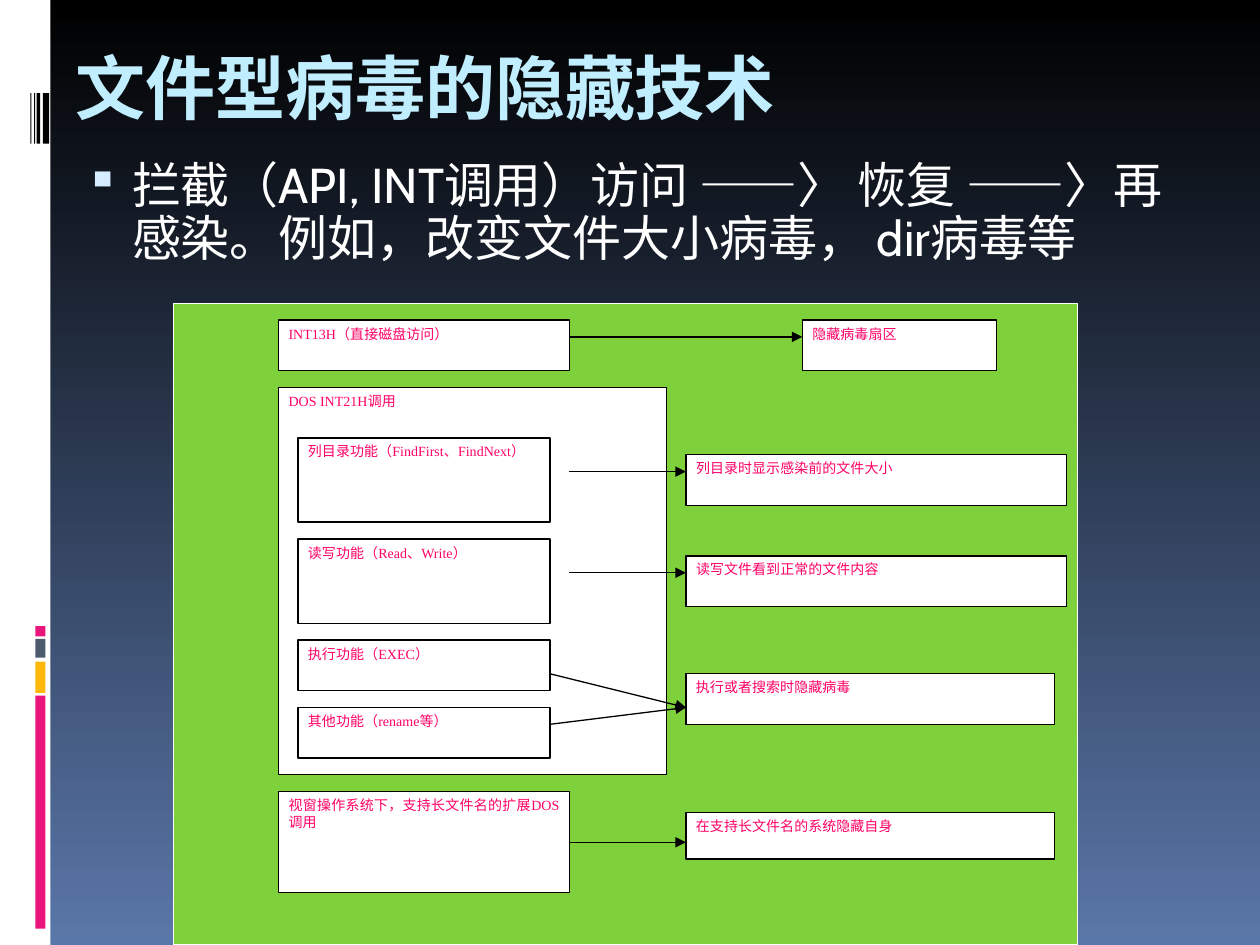
from lxml.etree import SubElement
from pptx import Presentation
from pptx.dml.color import RGBColor
from pptx.enum.shapes import MSO_CONNECTOR, MSO_SHAPE
from pptx.enum.text import MSO_ANCHOR, PP_ALIGN
from pptx.oxml.ns import qn
from pptx.util import Inches, Pt

LEFT, TOP = 2.21, 2.54
COL, ROW = 0.154, 0.1337

BARS = [
    (0, 0, 0.4, 7.5, "FFFFFF"),
    (0.28, 5.52, 0.08, 1.85, "EA157A"),
    (0.28, 5.25, 0.08, 0.25, "FEB80A"),
    (0.28, 5.07, 0.08, 0.15, "4E5B6F"),
    (0.28, 4.97, 0.08, 0.08, "EA157A"),
    (0.34, 0.74, 0.05, 0.4, "000000"),
    (0.29, 0.74, 0.03, 0.4, "000000"),
    (0.27, 0.74, 0.01, 0.4, "000000"),
    (0.24, 0.74, 0.01, 0.4, "000000"),
]
BOXES = [
    (0, 4, 20, 23, "DOS INT21H调用"),
    (0, 0, 15, 3, "INT13H（直接磁盘访问）"),
    (1, 7, 13, 5, "列目录功能（FindFirst、FindNext）"),
    (1, 13, 13, 5, "读写功能（Read、Write）"),
    (1, 19, 13, 3, "执行功能（EXEC）"),
    (1, 23, 13, 3, "其他功能（rename等）"),
    (0, 28, 15, 6, "视窗操作系统下，支持长文件名的扩展DOS调用"),
    (27, 0, 10, 3, "隐藏病毒扇区"),
    (21, 8, 19.6, 3, "列目录时显示感染前的文件大小"),
    (21, 14, 19.6, 3, "读写文件看到正常的文件内容"),
    (21, 21, 19, 3, "执行或者搜索时隐藏病毒"),
    (21, 29.25, 19, 2.75, "在支持长文件名的系统隐藏自身"),
]
ARROWS = [
    (15, 1, 27, 1),
    (15, 9, 21, 9),
    (15, 15, 21, 15),
    (14, 21, 21, 23),
    (14, 24, 21, 23),
    (15, 31, 21, 31),
]


def hue(text):
    """Turn a hex string into a colour."""
    return RGBColor.from_string(text)


def spot(col, row):
    """Give the slide position of a grid point."""
    return Inches(LEFT + col * COL), Inches(TOP + row * ROW)


def style(para, size, face, color, bold=False):
    """Set the font of a paragraph."""
    font = para.font
    font.size, font.name, font.bold = Pt(size), face, bold
    font.color.rgb = hue(color)


def panel(slide, place, fill, edge=None):
    """Draw a plain rectangle."""
    shape = slide.shapes.add_shape(MSO_SHAPE.RECTANGLE, *place)
    shape.shadow.inherit = False
    shape.fill.solid()
    shape.fill.fore_color.rgb = hue(fill)
    if edge:
        shape.line.color.rgb = hue(edge)
        shape.line.width = Pt(0.75)
    else:
        shape.line.fill.background()
    return shape


def box(slide, col, row, wide, high, text):
    """Draw a labelled box on the grid."""
    place = *spot(col, row), Inches(wide * COL), Inches(high * ROW)
    frame = panel(slide, place, "FFFFFF", "000000").text_frame
    frame.word_wrap = True
    frame.vertical_anchor = MSO_ANCHOR.TOP
    frame.margin_left = frame.margin_right = Inches(0.08)
    frame.margin_top = frame.margin_bottom = Inches(0.04)
    para = frame.paragraphs[0]
    para.text = text
    para.alignment = PP_ALIGN.JUSTIFY
    style(para, 8, "Times New Roman", "FF0066")


def arrow(slide, col, row, to_col, to_row):
    """Draw an arrow between two grid points."""
    line = slide.shapes.add_connector(
        MSO_CONNECTOR.STRAIGHT, *spot(col, row), *spot(to_col, to_row))
    line.line.color.rgb = hue("000000")
    line.line.width = Pt(0.75)
    SubElement(line.line._get_or_add_ln(), qn("a:tailEnd"), type="triangle")
    SubElement(line._element.spPr, qn("a:effectLst"))


def backdrop(slide):
    """Paint the gradient and the side bars."""
    fill = slide.background.fill
    fill.gradient()
    fill.gradient_angle = 270
    for stop, place, color in zip(fill.gradient_stops, (0, 1), ("000000", "5A77A9")):
        stop.position = place
        stop.color.rgb = hue(color)
    for *place, color in BARS:
        panel(slide, map(Inches, place), color)


def heading(slide, text):
    """Place and format the title."""
    title = slide.shapes.title
    title.left, title.top = Inches(0.5), Inches(0.3)
    title.width, title.height = Inches(9), Inches(0.77)
    frame = title.text_frame
    frame.vertical_anchor = MSO_ANCHOR.MIDDLE
    para = frame.paragraphs[0]
    para.text = text
    para.alignment = PP_ALIGN.LEFT
    style(para, 40, "DejaVu Sans Mono", "C1EEFF", True)


def bullet(slide, text):
    """Write the bulleted statement."""
    place = map(Inches, (0.5, 1.23, 8.9, 1.02))
    frame = slide.shapes.add_textbox(*place).text_frame
    frame.word_wrap = True
    para = frame.paragraphs[0]
    para.text = text
    para.line_spacing = 0.9
    props = para._p.get_or_add_pPr()
    props.set("marL", str(Inches(0.45)))
    props.set("indent", str(Inches(-0.37)))
    tint = SubElement(props, qn("a:buClr"))
    SubElement(tint, qn("a:srgbClr"), val="D6ECFF")
    SubElement(props, qn("a:buSzPct"), val="95000")
    SubElement(props, qn("a:buChar"), char="▪")
    style(para, 28, "Cabin", "FFFFFF")


def main():
    """Build and save the slide."""
    deck = Presentation()
    deck.slide_width, deck.slide_height = Inches(10), Inches(7.5)
    slide = deck.slides.add_slide(deck.slide_layouts[5])
    backdrop(slide)
    heading(slide, "文件型病毒的隐藏技术")
    bullet(slide, "拦截（API, INT调用）访问 ——〉 恢复 ——〉再感染。"
                  "例如，改变文件大小病毒， dir病毒等")
    panel(slide, map(Inches, (1.38, 2.41, 7.17, 5.09)), "7FD13B", "FFFFFF")
    for item in BOXES:
        box(slide, *item)
    for item in ARROWS:
        arrow(slide, *item)
    deck.save("out.pptx")


if __name__ == "__main__":
    main()
